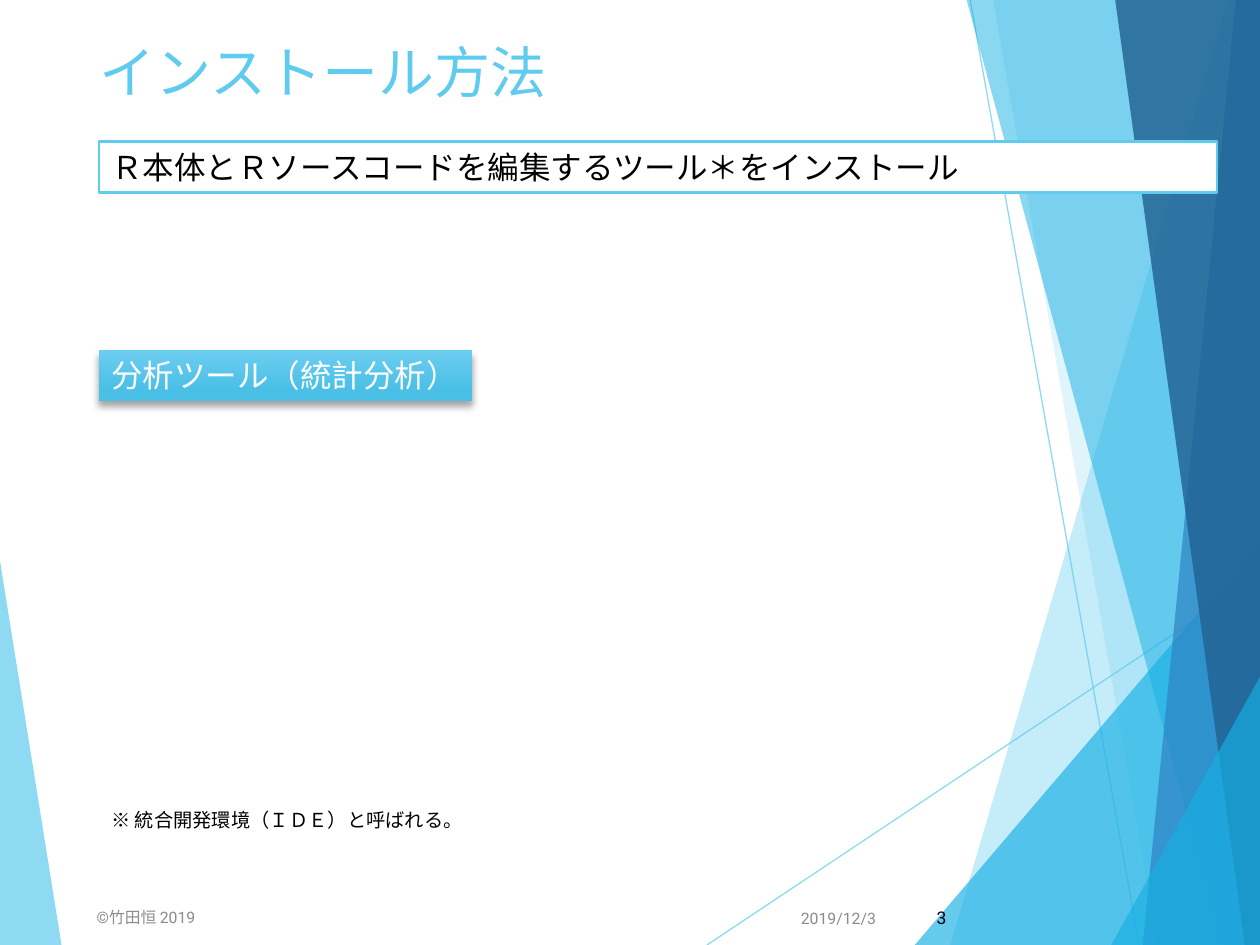
from lxml import etree
from pptx import Presentation
from pptx import util as u
from pptx.dml.color import RGBColor
from pptx.enum import shapes, text
from pptx.oxml import ns

COLORS = {
    "sky": "5FCBEF",
    "cyan": "17B0E4",
    "blue": "2E83C3",
    "navy": "226292",
    "light": "6CCDF0",
    "deep": "4BC0E6",
    "gray": "8C8C8C",
    "black": "000000",
    "white": "FFFFFF",
}
TOP, BOTTOM, EDGE = -0.7, 540, 720.7


class SlideBuilder:
    font_name = "Roboto"

    def __init__(self, slide):
        self.slide = slide
        self.shapes = slide.shapes

    def color(self, name):
        return RGBColor.from_string(COLORS[name])

    def child(self, parent, tag, **attributes):
        values = {key: str(value) for key, value in attributes.items()}
        return etree.SubElement(parent, ns.qn(tag), values)

    def apply(self, target, values):
        for key, value in values.items():
            setattr(target, key, value)

    def fade(self, fill_parent, percent):
        tone = fill_parent.find(".//" + ns.qn("a:srgbClr"))
        self.child(tone, "a:alpha", val=percent * 1000)

    def facet(self, points, color, opacity):
        start, *rest = [(u.Pt(x), u.Pt(y)) for x, y in points]
        outline = self.shapes.build_freeform(*start)
        outline.add_line_segments(rest, close=True)
        facet = outline.convert_to_shape()
        facet.shadow.inherit = False
        facet.fill.solid()
        facet.fill.fore_color.rgb = self.color(color)
        facet.line.fill.background()
        self.fade(facet._element.spPr, opacity)

    def ray(self, *ends):
        ray = self.shapes.add_connector(
            shapes.MSO_CONNECTOR.STRAIGHT, *map(u.Pt, ends))
        ray.line.width = u.Pt(0.75)
        ray.line.color.rgb = self.color("sky")
        self.fade(ray._element.spPr, 70)
        self.child(ray._element.spPr, "a:effectLst")

    def put_words(self, shape, words, size, color, align="LEFT", anchor="TOP", grow=False):
        frame = shape.text_frame
        fit = text.MSO_AUTO_SIZE
        self.apply(frame, {
            "word_wrap": True,
            "vertical_anchor": getattr(text.MSO_ANCHOR, anchor),
            "auto_size": fit.SHAPE_TO_FIT_TEXT if grow else fit.NONE,
        })
        paragraph = frame.paragraphs[0]
        paragraph.alignment = getattr(text.PP_ALIGN, align)
        run = paragraph.add_run()
        run.text = words
        self.apply(run.font, {"name": self.font_name, "size": u.Pt(size)})
        run.font.color.rgb = self.color(color)

    def label(self, box, words, size, color, **layout):
        self.put_words(self.shapes.add_textbox(*map(u.Pt, box)), words, size, color, **layout)

    def banner(self, box, words, color):
        banner = self.shapes.add_shape(shapes.MSO_SHAPE.RECTANGLE, *map(u.Pt, box))
        banner.shadow.inherit = False
        self.put_words(banner, words, 18, color, grow=True)
        return banner

    def outlined(self, box, words):
        banner = self.banner(box, words, "black")
        banner.fill.solid()
        banner.fill.fore_color.rgb = self.color("white")
        banner.line.color.rgb = self.color("sky")
        banner.line.width = u.Pt(1.5)

    def raised(self, box, words):
        banner = self.banner(box, words, "white")
        banner.line.fill.background()
        banner.fill.gradient()
        banner.fill.gradient_angle = 270
        stops = zip(banner.fill.gradient_stops, ((0, "light"), (0.78, "deep")))
        for stop, (position, color) in stops:
            stop.position = position
            stop.color.rgb = self.color(color)
        effects = banner._element.spPr.find(ns.qn("a:effectLst"))
        shadow = self.child(effects, "a:outerShdw", blurRad=u.Pt(4), dist=u.Pt(3),
                            dir=90 * 60000, algn="ctr", rotWithShape=0)
        tone = self.child(shadow, "a:srgbClr", val=COLORS["black"])
        self.child(tone, "a:alpha", val=35000)


def main():
    deck = Presentation()
    deck.slide_width, deck.slide_height = u.Pt(720), u.Pt(540)
    page = SlideBuilder(deck.slides.add_slide(deck.slide_layouts[6]))

    page.facet([(TOP, 316), (35.3, 540.7), (TOP, BOTTOM)], "sky", 70)
    page.ray(404, BOTTOM, EDGE, 329)
    page.ray(554.4, 0, 651, BOTTOM)

    right_side = [(EDGE, BOTTOM), (EDGE, TOP)]
    corner = [(EDGE, BOTTOM)]
    facets = [
        ([(702, TOP), (543, BOTTOM)] + right_side, "sky", 36),
        ([(567.4, TOP), (661.7, BOTTOM)] + right_side, "sky", 20),
        ([(522.7, BOTTOM), (720, 308.9)] + corner, "cyan", 66),
        ([(552.2, TOP), (698.4, BOTTOM)] + right_side, "cyan", 50),
        ([(706.3, TOP), (653, BOTTOM)] + right_side, "blue", 70),
        ([(637.2, TOP), (711.4, BOTTOM)] + right_side, "navy", 82),
        ([(635, BOTTOM), (EDGE, 385.5)] + corner, "cyan", 66),
    ]
    for points, color, opacity in facets:
        page.facet(points, color, opacity)

    page.label((49.7, 18, 620.6, 104.4), "インストール方法", 32, "sky")
    page.raised((56.5, 200, 213.5, 29.1), "分析ツール（統計分析）")
    page.outlined((56.5, 80.8, 639, 29.1),
                  "Ｒ本体とＲソースコードを編集するツール＊をインストール")

    footers = [
        ((425.5, 510.3, 82.1, 28.8), "2019/12/3", 9, "gray", "RIGHT"),
        ((48.2, 509.8, 364.3, 28.8), "©竹田恒 2019", 9, "gray", "LEFT"),
        ((507.6, 509.8, 40.3, 28.8), "3", 10, "black", "RIGHT"),
    ]
    for box, words, size, color, align in footers:
        page.label(box, words, size, color, align=align, anchor="MIDDLE")
    page.label((56.5, 458.6, 552.2, 20.9), "※ 統合開発環境（ＩＤＥ）と呼ばれる。",
               11, "black", grow=True)

    deck.save("out.pptx")


if __name__ == "__main__":
    main()
